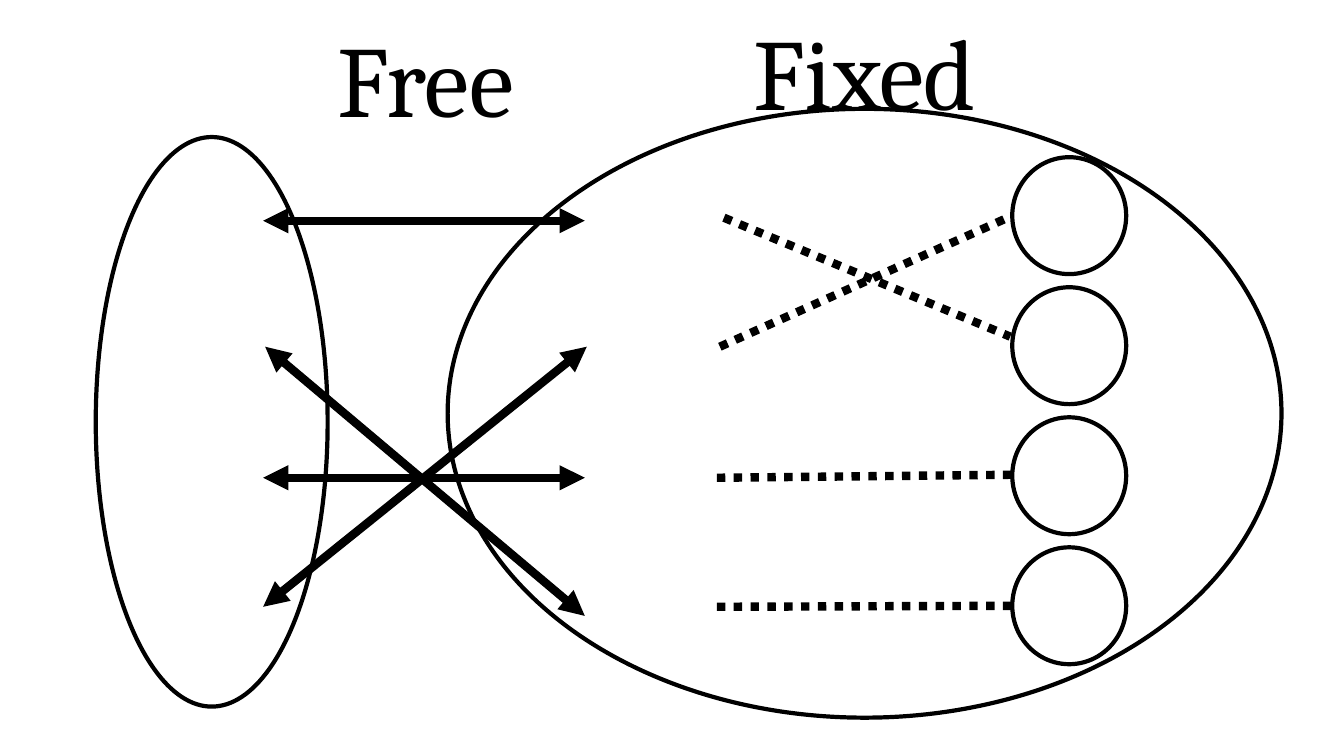
import dataclasses
from typing import Any

import lxml.etree
import pptx
import pptx.dml.color
import pptx.enum.shapes
import pptx.enum.text
import pptx.oxml.ns
import pptx.util

Inches = pptx.util.Inches
Pt = pptx.util.Pt
COLORS = {"ink": "000000"}
INK = pptx.dml.color.RGBColor.from_string(COLORS["ink"])
FONT = {"name": "Cambria", "size": Pt(72)}
FRAME = {"word_wrap": True, "auto_size": pptx.enum.text.MSO_AUTO_SIZE.SHAPE_TO_FIT_TEXT}

# Line children in schema order: tag and attributes
DOTS = [("prstDash", {"val": "sysDot"})]
HEADS = [("headEnd", {"type": "triangle"}), ("tailEnd", {"type": "triangle"})]


@dataclasses.dataclass
class Box:
    left: float
    top: float
    width: float
    height: float

    def place(self) -> list[int]:
        return [Inches(n) for n in dataclasses.astuple(self)]


@dataclasses.dataclass
class Link:
    x1: float
    y1: float
    x2: float
    y2: float


@dataclasses.dataclass
class Title:
    text: str
    box: Box


def apply(item: Any, values: dict[str, Any]) -> None:
    """Set each named attribute of item."""
    for name, value in values.items():
        setattr(item, name, value)


def draw_oval(shapes: Any, box: Box) -> None:
    oval = shapes.add_shape(pptx.enum.shapes.MSO_SHAPE.OVAL, *box.place())
    oval.shadow.inherit = False
    oval.fill.background()
    oval.line.color.rgb = INK
    oval.line.width = Pt(3)


def draw_link(shapes: Any, link: Link, marks: list[tuple[str, dict[str, str]]]) -> None:
    """Draw a thick line whose dash or heads come from marks."""
    ends = [Inches(n) for n in dataclasses.astuple(link)]
    line = shapes.add_connector(pptx.enum.shapes.MSO_CONNECTOR.STRAIGHT, *ends)
    line.line.color.rgb = INK
    line.line.width = Pt(6)
    qn = pptx.oxml.ns.qn
    props = line._element.spPr
    for tag, attrs in marks:
        lxml.etree.SubElement(props.find(qn("a:ln")), qn(f"a:{tag}"), attrs)
    lxml.etree.SubElement(props, qn("a:effectLst"))


def draw_title(shapes: Any, title: Title) -> None:
    frame = shapes.add_textbox(*title.box.place()).text_frame
    apply(frame, FRAME)
    para = frame.paragraphs[0]
    para.text = title.text
    para.alignment = pptx.enum.text.PP_ALIGN.CENTER
    apply(para.font, FONT)
    para.font.color.rgb = INK


DOTTED = [
    Link(7.18, 2.16, 10.02, 3.34),
    Link(7.14, 3.44, 10.04, 2.14),
    Link(7.11, 4.74, 10.04, 4.71),
    Link(7.11, 6.02, 10.03, 6.01),
]
SETS = [Box(0.95, 1.36, 2.3, 5.65), Box(4.44, 1.08, 8.27, 6.04)]
ARROWS = [
    Link(2.61, 2.19, 5.8, 2.19),
    Link(2.61, 6.02, 5.82, 3.44),
    Link(2.63, 3.44, 5.8, 6.11),
    Link(2.61, 4.74, 5.8, 4.74),
]
TITLES = [
    Title("Free", Box(1.93, 0.12, 4.58, 1.31)),
    Title("Fixed", Box(6.15, 0.05, 4.85, 1.31)),
]
NODES = [Box(10.04, 1.56 + 1.29 * row, 1.13, 1.16) for row in range(4)]


def main() -> None:
    deck = pptx.Presentation()
    apply(deck, {"slide_width": Inches(13.33), "slide_height": Inches(7.5)})
    shapes = deck.slides.add_slide(deck.slide_layouts[6]).shapes
    for link in DOTTED:
        draw_link(shapes, link, DOTS)
    for box in SETS:
        draw_oval(shapes, box)
    for link in ARROWS:
        draw_link(shapes, link, HEADS)
    for title in TITLES:
        draw_title(shapes, title)
    for box in NODES:
        draw_oval(shapes, box)
    deck.save("out.pptx")


if __name__ == "__main__":
    main()
